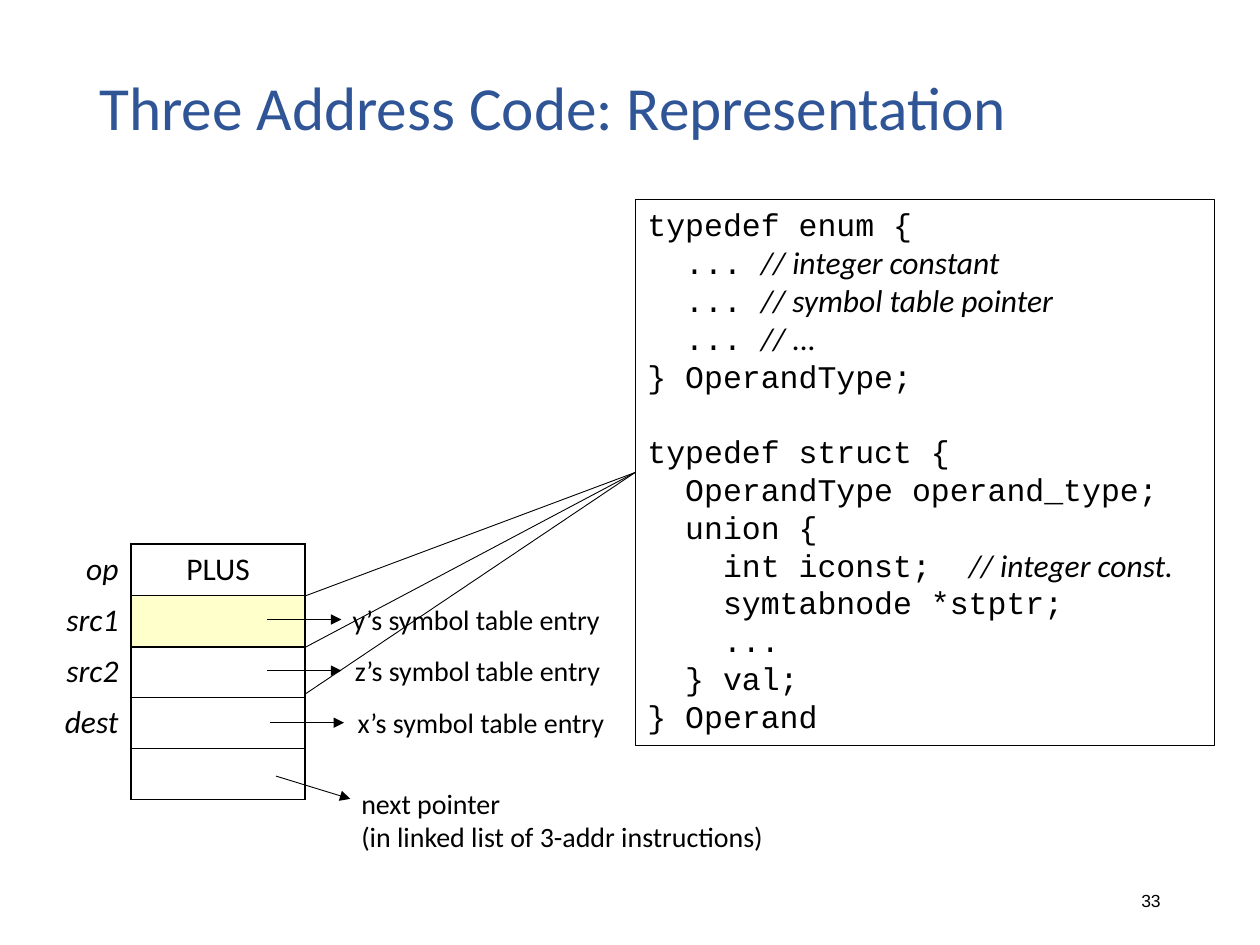
"""Build the slide on how three-address code is represented."""
import dataclasses
import typing

import lxml.etree
import pptx
import pptx.dml.color
import pptx.enum.shapes
import pptx.enum.text
import pptx.oxml.ns
import pptx.util

Pt = pptx.util.Pt
qn = pptx.oxml.ns.qn
ALIGN = pptx.enum.text.PP_ALIGN
ANCHOR = pptx.enum.text.MSO_ANCHOR


@dataclasses.dataclass(frozen=True)
class Theme:
    ink: str = "000000"
    heading: str = "2F5597"
    highlight: str = "FFFFCC"
    body_font: str = "Calibri"
    code_font: str = "Courier New"
    number_font: str = "Arial"
    title_size: float = 35
    body_size: float = 18
    note_size: float = 16
    number_size: float = 10
    code_leading: float = 21.6
    thin: float = 0.5
    border: float = 1


class Box(typing.NamedTuple):
    left: float
    top: float
    width: float
    height: float


class Point(typing.NamedTuple):
    x: float
    y: float


class Pointer(typing.NamedTuple):
    start: Point
    end: Point
    note: Box
    lines: tuple[str, ...]


THEME = Theme()
ROW_HEIGHT = 29.2
FIELDS_TOP = 311
FIELDS = Box(74.9, FIELDS_TOP, 99.4, 5 * ROW_HEIGHT)
LABELS = Box(25.2, FIELDS_TOP, 49.7, 5 * ROW_HEIGHT)
SRC1 = Box(74.9, FIELDS_TOP + ROW_HEIGHT, 99.4, 30)
CODE_BOX = Box(362.9, 113.8, 331.2, 312.5)
OPERAND_TIP = Point(362.9, 270)
OPERAND_STARTS = (Point(174.3, 340.6), Point(174.3, 370), Point(174.3, 396.7))
POINTERS = (
    Pointer(Point(152.6, 354), Point(195.1, 354),
            Box(194.4, 340.6, 157.7, 26.6), ("y’s symbol table entry",)),
    Pointer(Point(152.6, 383.2), Point(195.1, 383.2),
            Box(195.8, 370, 156.2, 26.6), ("z’s symbol table entry",)),
    Pointer(Point(154.1, 413), Point(196.6, 413),
            Box(197.3, 399.6, 157, 26.6), ("x’s symbol table entry",)),
    Pointer(Point(157.7, 443.5), Point(200.2, 456.5),
            Box(199.4, 445.7, 247, 46.1),
            ("next pointer", "(in linked list of 3-addr instructions)")),
)
ENUM_CODE = """typedef enum {
  ... // integer constant
  ... // symbol table pointer
  ... // ...
} OperandType;"""
STRUCT_CODE = """typedef struct {
  OperandType operand_type;
  union {
    int iconst;  // integer const.
    symtabnode *stptr;
    ...
  } val;
} Operand"""


def points(box: Box) -> list[pptx.util.Length]:
    return [Pt(length) for length in box]


def style(font, size: float, name: str = THEME.body_font,
          color: str = THEME.ink) -> None:
    font.size, font.name = Pt(size), name
    font.color.rgb = pptx.dml.color.RGBColor.from_string(color)


def add_text(slide, box: Box, lines: tuple[str, ...], size: float,
             name: str = THEME.body_font, color: str = THEME.ink,
             align=ALIGN.LEFT, anchor=ANCHOR.TOP, wrap: bool = True,
             spacing: float = 1) -> None:
    frame = slide.shapes.add_textbox(*points(box)).text_frame
    frame.word_wrap, frame.vertical_anchor = wrap, anchor
    frame.text = "\n".join(lines)
    for paragraph in frame.paragraphs:
        paragraph.alignment, paragraph.line_spacing = align, spacing
        style(paragraph.font, size, name, color)


def add_rectangle(slide, box: Box, fill: str | None = None):
    rectangle = slide.shapes.add_shape(
        pptx.enum.shapes.MSO_SHAPE.RECTANGLE, *points(box))
    rectangle.shadow.inherit = False
    if fill:
        rectangle.fill.solid()
        rectangle.fill.fore_color.rgb = pptx.dml.color.RGBColor.from_string(fill)
    else:
        rectangle.fill.background()
    rectangle.line.width = Pt(THEME.thin)
    rectangle.line.color.rgb = pptx.dml.color.RGBColor.from_string(THEME.ink)
    return rectangle


def add_line(slide, start: Point, end: Point, arrow: bool = False) -> None:
    line = slide.shapes.add_connector(
        pptx.enum.shapes.MSO_CONNECTOR.STRAIGHT,
        Pt(start.x), Pt(start.y), Pt(end.x), Pt(end.y))
    line.line.width = Pt(THEME.thin)
    line.line.color.rgb = pptx.dml.color.RGBColor.from_string(THEME.ink)
    if arrow:
        lxml.etree.SubElement(line.get_or_add_ln(), qn("a:tailEnd"), type="triangle")
    lxml.etree.SubElement(line.element.spPr, qn("a:effectLst"))


def set_borders(cell, visible: bool) -> None:
    properties = cell._tc.get_or_add_tcPr()
    for side in ("a:lnL", "a:lnR", "a:lnT", "a:lnB"):
        edge = lxml.etree.SubElement(properties, qn(side), w=str(Pt(THEME.border)))
        if visible:
            fill = lxml.etree.SubElement(edge, qn("a:solidFill"))
            lxml.etree.SubElement(fill, qn("a:srgbClr"), val=THEME.ink)
        else:
            lxml.etree.SubElement(edge, qn("a:noFill"))


def add_column(slide, box: Box, entries: tuple[str, ...], align,
               italic: bool = False, bordered: bool = False) -> None:
    table = slide.shapes.add_table(len(entries), 1, *points(box)).table
    table.first_row = table.horz_banding = False
    for index, entry in enumerate(entries):
        table.rows[index].height = Pt(ROW_HEIGHT)
        cell = table.cell(index, 0)
        set_borders(cell, bordered)
        cell.fill.background()
        cell.text = entry
        paragraph = cell.text_frame.paragraphs[0]
        paragraph.alignment = align
        style(paragraph.font, THEME.body_size)
        paragraph.font.italic = italic


def add_code(slide, box: Box, blocks: tuple[str, ...]) -> None:
    frame = add_rectangle(slide, box).text_frame
    frame.word_wrap, frame.vertical_anchor = True, ANCHOR.TOP
    lines = [(block, row, line) for block, source in enumerate(blocks)
             for row, line in enumerate(source.splitlines())]
    for block, row, line in lines:
        first = block == row == 0
        paragraph = frame.paragraphs[0] if first else frame.add_paragraph()
        paragraph.alignment = ALIGN.LEFT
        paragraph.line_spacing = Pt(THEME.code_leading)
        if block and row == 0:
            paragraph.space_before = Pt(THEME.code_leading)
        style(paragraph.font, THEME.body_size, THEME.code_font)
        statement, marker, remark = line.partition("//")
        paragraph.add_run().text = statement
        if marker:
            comment = paragraph.add_run()
            comment.text = marker + remark
            comment.font.name, comment.font.italic = THEME.body_font, True


def main() -> None:
    deck = pptx.Presentation()
    deck.slide_width, deck.slide_height = Pt(720), Pt(540)
    slide = deck.slides.add_slide(deck.slide_layouts[6])
    add_rectangle(slide, SRC1, THEME.highlight)
    add_column(slide, FIELDS, ("PLUS", "", "", "", ""), ALIGN.CENTER, bordered=True)
    add_text(slide, Box(508.3, 500.4, 162, 28.8), ("33",), THEME.number_size,
             THEME.number_font, align=ALIGN.RIGHT, anchor=ANCHOR.MIDDLE)
    add_text(slide, Box(49.7, 28.8, 648, 68.4),
             ("Three Address Code: Representation",), THEME.title_size,
             color=THEME.heading, anchor=ANCHOR.MIDDLE, spacing=0.9)
    add_column(slide, LABELS, ("op", "src1", "src2", "dest", ""), ALIGN.RIGHT,
               italic=True)
    for pointer in POINTERS:
        add_line(slide, pointer.start, pointer.end, arrow=True)
        add_text(slide, pointer.note, pointer.lines, THEME.note_size, wrap=False)
    add_code(slide, CODE_BOX, (ENUM_CODE, STRUCT_CODE))
    for start in OPERAND_STARTS:
        add_line(slide, start, OPERAND_TIP)
    deck.save("out.pptx")


if __name__ == "__main__":
    main()
